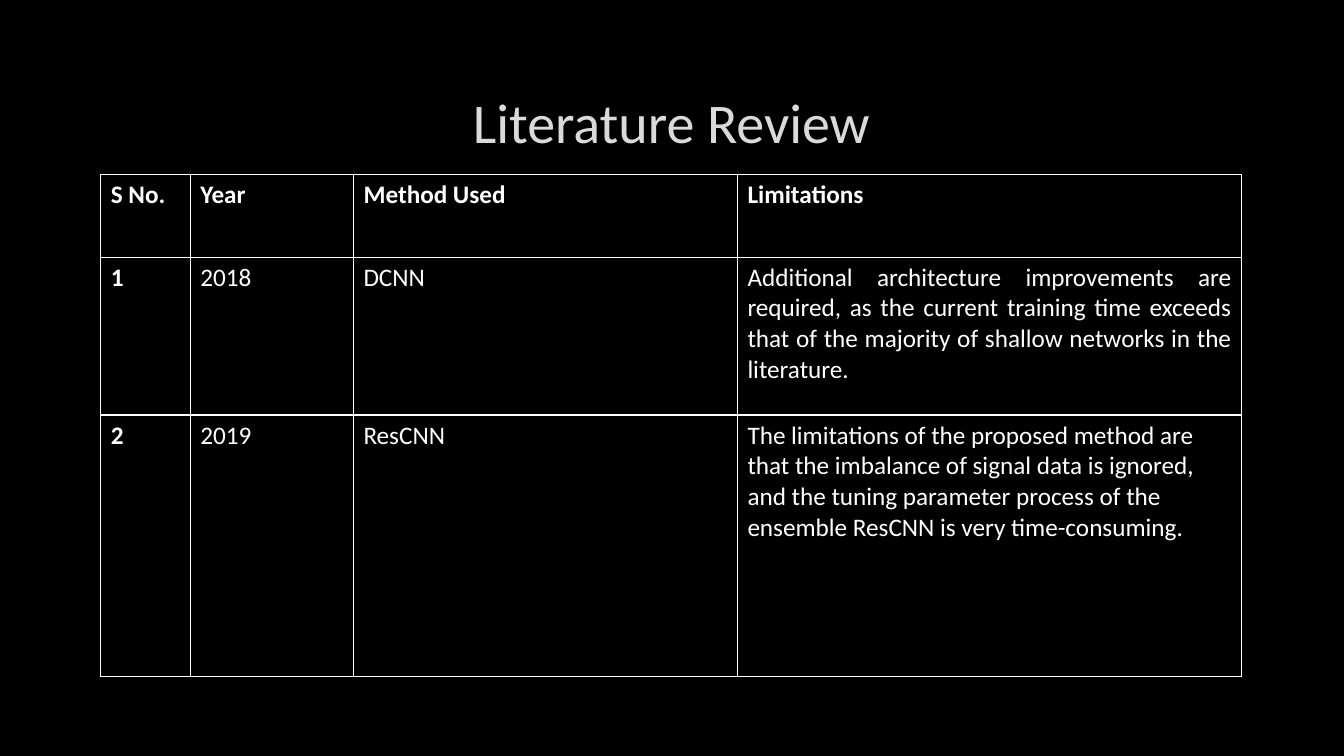
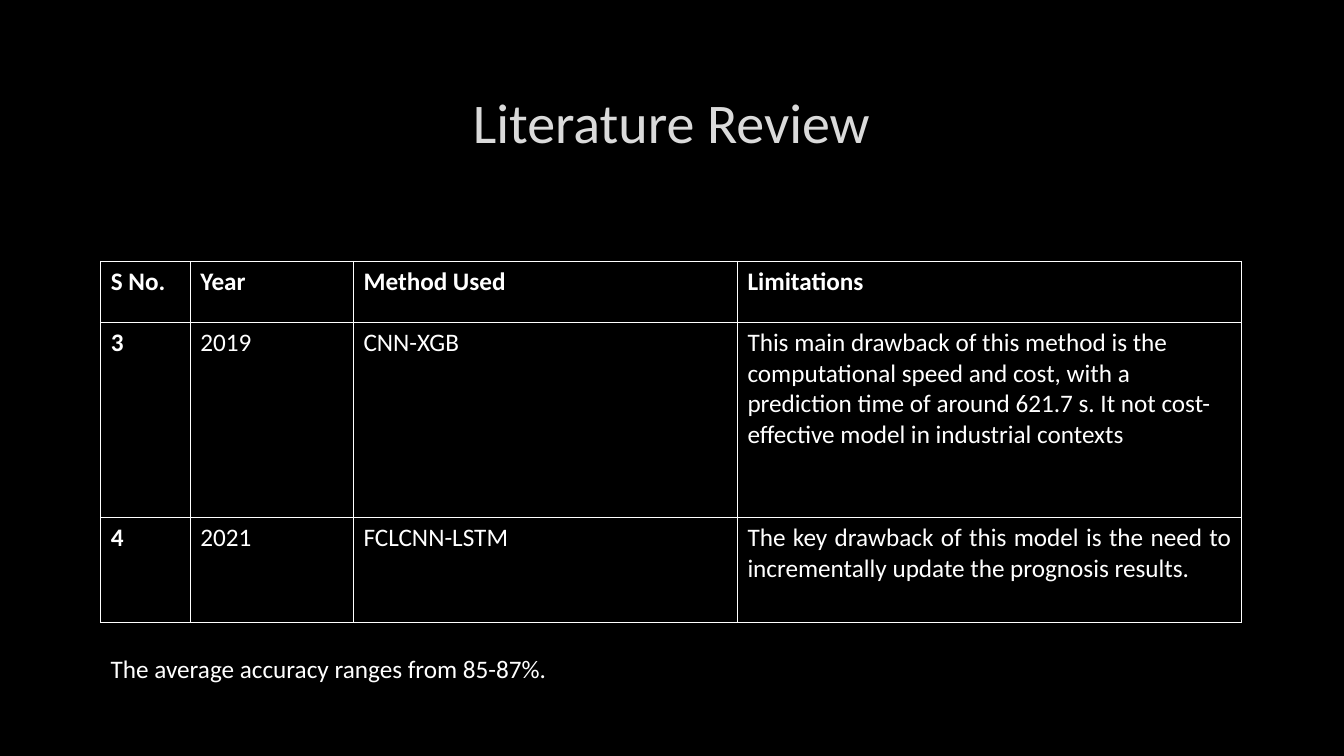
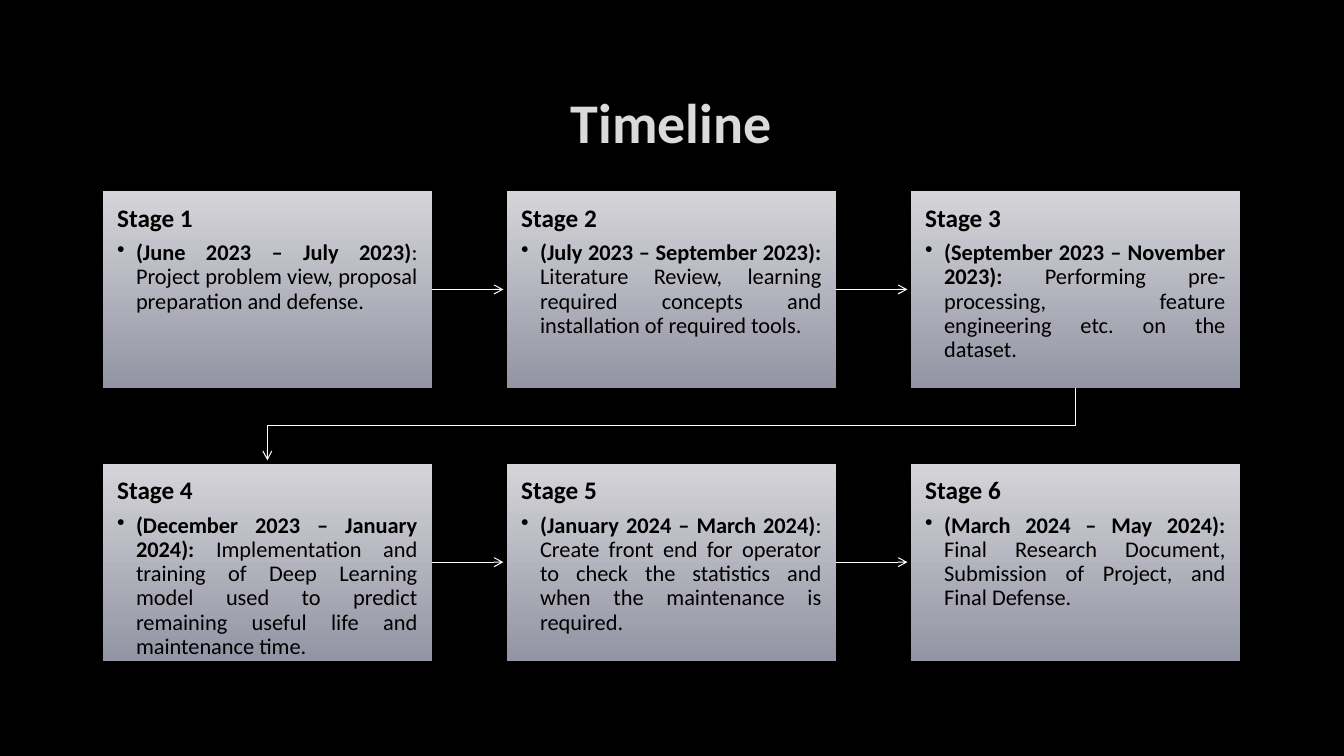
from dataclasses import dataclass
from lxml.etree import SubElement
from pptx import Presentation
from pptx.dml.color import RGBColor
from pptx.enum.shapes import MSO_CONNECTOR, MSO_SHAPE
from pptx.enum.text import MSO_ANCHOR, MSO_AUTO_SIZE, PP_ALIGN
from pptx.oxml.ns import qn
from pptx.util import Pt


@dataclass(frozen=True)
class Theme:
    font: str = "Calibri"
    background: str = "000000"
    title: str = "DADADA"
    light: str = "FFFFFF"
    dark: str = "000000"
    card_stops: tuple = ("D4D4D9", "9495A4")
    title_size: int = 40
    text_size: int = 18
    detail_size: int = 16
    border: float = 1
    line: float = 0.75


THEME = Theme()
TITLE_BOX = {"left": Pt(72), "top": Pt(48), "width": Pt(815), "height": Pt(76.5)}
COLUMNS = (64, 116.5, 274.3, 360.2)
HEADER = ("S No.", "Year", "Method Used", "Limitations")
TABLE_LEFT = 72
CARD_LEFT, CARD_TOP, CARD_W, CARD_H = 73.5, 136.5, 235, 140.5
PITCH_X, PITCH_Y = 288.6, 194.8
CARDS_PER_ROW = 3
ARROW_GAP = 2.5

REVIEW_A = [
    (PP_ALIGN.JUSTIFY, ("1", "2018", "DCNN",
     "Additional architecture improvements are required, as the current training "
     "time exceeds that of the majority of shallow networks in the literature.")),
    (PP_ALIGN.LEFT, ("2", "2019", "ResCNN",
     "The limitations of the proposed method are that the imbalance of signal data "
     "is ignored, and the tuning parameter process of the ensemble ResCNN is very "
     "time-consuming.")),
]
REVIEW_B = [
    (PP_ALIGN.LEFT, ("3", "2019", "CNN-XGB",
     "This main drawback of this method is the computational speed and cost, with a "
     "prediction time of around 621.7 s. It not cost-effective model in industrial "
     "contexts")),
    (PP_ALIGN.JUSTIFY, ("4", "2021", "FCLCNN-LSTM",
     "The key drawback of this model is the need to incrementally update the "
     "prognosis results.")),
]
STAGES = [
    ("(June 2023 – July 2023)",
     ": Project problem view, proposal preparation and defense."),
    ("(July 2023 – September 2023):",
     " Literature Review, learning required concepts and installation of required tools."),
    ("(September 2023 – November 2023):",
     " Performing pre-processing, feature engineering etc. on the dataset."),
    ("(December 2023 – January 2024):",
     " Implementation and training of Deep Learning model used to predict remaining "
     "useful life and maintenance time."),
    ("(January 2024 – March 2024)",
     ": Create front end for operator to check the statistics and when the "
     "maintenance is required."),
    ("(March 2024 – May 2024):",
     " Final Research Document, Submission of Project, and Final Defense."),
]


def apply(obj, values):
    for name, value in values.items():
        setattr(obj, name, value)


def add_run(p, text, size, color, bold=False):
    r = p.add_run()
    r.text = text
    apply(r.font, {"name": THEME.font, "size": Pt(size), "bold": bold})
    r.font.color.rgb = RGBColor.from_string(color)


def style_master(prs):
    fill = prs.slide_master.background.fill
    fill.solid()
    fill.fore_color.rgb = RGBColor.from_string(THEME.background)
    layout = prs.slide_layouts[5]
    title = next(sp for sp in layout.placeholders if sp.placeholder_format.idx == 0)
    apply(title, TITLE_BOX)
    apply(title.text_frame, {"vertical_anchor": MSO_ANCHOR.MIDDLE, "word_wrap": True})
    return layout


def add_titled_slide(prs, layout, text, bold=False):
    slide = prs.slides.add_slide(layout)
    p = slide.shapes.title.text_frame.paragraphs[0]
    p.alignment = PP_ALIGN.CENTER
    add_run(p, text, THEME.title_size, THEME.title, bold)
    return slide


def set_borders(cell):
    tc_pr = cell._tc.get_or_add_tcPr()
    for side in ("a:lnL", "a:lnR", "a:lnT", "a:lnB"):
        ln = SubElement(tc_pr, qn(side), w=str(Pt(THEME.border)))
        SubElement(SubElement(ln, qn("a:solidFill")), qn("a:srgbClr"), val=THEME.light)


def add_review_table(slide, top, heights, reviews):
    rows = [(PP_ALIGN.LEFT, HEADER)] + reviews
    table = slide.shapes.add_table(
        len(rows), len(COLUMNS), Pt(TABLE_LEFT), Pt(top),
        Pt(sum(COLUMNS)), Pt(sum(heights))).table
    apply(table, {"first_row": False, "horz_banding": False})
    for column, width in zip(table.columns, COLUMNS):
        column.width = Pt(width)
    for i, (align, texts) in enumerate(rows):
        table.rows[i].height = Pt(heights[i])
        for j, text in enumerate(texts):
            cell = table.cell(i, j)
            set_borders(cell)
            cell.fill.background()
            p = cell.text_frame.paragraphs[0]
            p.alignment = align
            add_run(p, text, THEME.text_size, THEME.light, i == 0 or j == 0)


def add_note(slide, text):
    tf = slide.shapes.add_textbox(Pt(72), Pt(463), Pt(343), Pt(29)).text_frame
    apply(tf, {"word_wrap": False, "auto_size": MSO_AUTO_SIZE.SHAPE_TO_FIT_TEXT})
    add_run(tf.paragraphs[0], text, THEME.text_size, THEME.light)


def set_bullet(p, indent):
    p_pr = p._p.get_or_add_pPr()
    p_pr.set("marL", str(Pt(indent)))
    p_pr.set("indent", str(-Pt(indent)))
    SubElement(p_pr, qn("a:buChar"), char="•")


def add_card(slide, index, period, task):
    row, col = divmod(index, CARDS_PER_ROW)
    sp = slide.shapes.add_shape(
        MSO_SHAPE.RECTANGLE, Pt(CARD_LEFT + col * PITCH_X),
        Pt(CARD_TOP + row * PITCH_Y), Pt(CARD_W), Pt(CARD_H))
    sp.shadow.inherit = False
    sp.line.fill.background()
    sp.fill.gradient()
    sp.fill.gradient_angle = 270
    for stop, position, color in zip(sp.fill.gradient_stops, (0, 1), THEME.card_stops):
        stop.position = position
        stop.color.rgb = RGBColor.from_string(color)
    tf = sp.text_frame
    apply(tf, {"word_wrap": True, "vertical_anchor": MSO_ANCHOR.TOP})
    apply(tf, {f"margin_{side}": Pt(10.2) for side in ("left", "top", "right", "bottom")})
    heading, detail = tf.paragraphs[0], tf.add_paragraph()
    for p, gap in ((heading, 6.3), (detail, 2.4)):
        apply(p, {"alignment": PP_ALIGN.JUSTIFY, "line_spacing": 0.9, "space_after": Pt(gap)})
    add_run(heading, f"Stage {index + 1}", THEME.text_size, THEME.dark, True)
    detail.level = 1
    set_bullet(detail, 13.5)
    add_run(detail, period, THEME.detail_size, THEME.dark, True)
    add_run(detail, task, THEME.detail_size, THEME.dark)
    return sp


def style_arrow(sp):
    sp.line.color.rgb = RGBColor.from_string(THEME.light)
    sp.line.width = Pt(THEME.line)
    SubElement(sp.line._get_or_add_ln(), qn("a:tailEnd"), type="arrow")


def add_straight_arrow(slide, card, following):
    y = card.top + card.height // 2
    arrow = slide.shapes.add_connector(
        MSO_CONNECTOR.STRAIGHT, card.left + card.width, y,
        following.left - Pt(ARROW_GAP), y)
    arrow.begin_connect(card, 3)
    style_arrow(arrow)
    SubElement(arrow._element.spPr, qn("a:effectLst"))


def add_return_arrow(slide, card, following):
    start_x, end_x = (sp.left + sp.width // 2 for sp in (card, following))
    start_y = card.top + card.height
    middle_y = (start_y + following.top) // 2
    builder = slide.shapes.build_freeform(start_x, start_y)
    builder.add_line_segments(
        [(start_x, middle_y), (end_x, middle_y),
         (end_x, following.top - Pt(ARROW_GAP))], close=False)
    arrow = builder.convert_to_shape()
    arrow.fill.background()
    style_arrow(arrow)
    arrow.shadow.inherit = False


def add_timeline(slide, stages):
    cards = [add_card(slide, i, *stage) for i, stage in enumerate(stages)]
    for card, following in zip(cards, cards[1:]):
        same_row = card.top == following.top
        add_arrow = add_straight_arrow if same_row else add_return_arrow
        add_arrow(slide, card, following)


def main():
    prs = Presentation()
    apply(prs, {"slide_width": Pt(960), "slide_height": Pt(540)})
    layout = style_master(prs)

    slide = add_titled_slide(prs, layout, "Literature Review")
    add_review_table(slide, 124.5, (59.2, 112.8, 187), REVIEW_A)

    slide = add_titled_slide(prs, layout, "Literature Review")
    add_review_table(slide, 186.7, (43.6, 139.2, 75), REVIEW_B)
    add_note(slide, "The average accuracy ranges from 85-87%.")

    slide = add_titled_slide(prs, layout, "Timeline", bold=True)
    add_timeline(slide, STAGES)

    prs.save("out.pptx")


if __name__ == "__main__":
    main()
